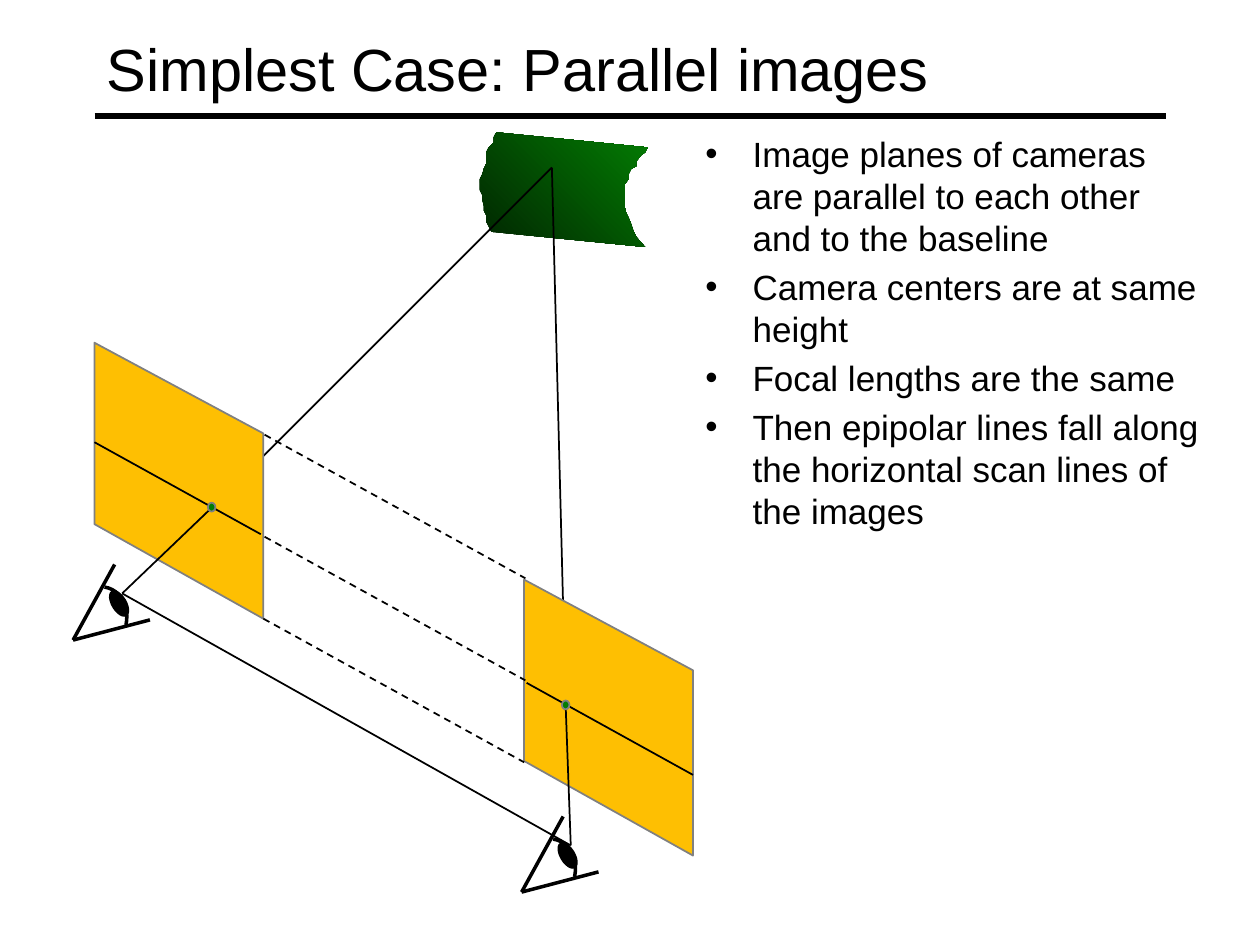
from lxml import etree
from pptx import Presentation, util as u
from pptx.dml import color
from pptx.enum import dml, shapes, text
from pptx.oxml import ns

COLORS = {"ink": "000000", "plane": "FEBF02", "edge": "808080",
          "dark": "012501", "green": "037C03"}
COLUMNS, ROWS = 100, 75
PLANE_STEP = (34.1, 18.8)
EYE_STEP = (35.6, 20)

BAND_LEFT = [(39.4, 10.5), (39.2, 10.9), (39.2, 11.3), (38.8, 11.7), (38.6, 12.1),
             (38.6, 13), (38.4, 13.4), (38.3, 13.8), (38.1, 14.2), (38.1, 15.1),
             (38.3, 15.5), (38.3, 15.9), (38.4, 16.3), (38.4, 16.7), (38.6, 17.1),
             (38.6, 17.6), (38.8, 18), (39, 18.4)]
BAND_RIGHT = [(51.2, 19.6), (50.5, 18.8), (50.3, 18.4), (50.1, 17.8), (49.9, 17.3),
              (49.7, 16.9), (49.6, 16.5), (49.6, 14.6), (49.9, 14.2), (49.9, 13.8),
              (50.1, 13.4), (50.5, 13.2), (50.5, 12.8), (50.9, 12.3), (51.2, 12.1),
              (51.4, 11.7)]
PLANE = [(7.5, 41.6), (20.9, 49.1), (20.9, 34.4), (7.5, 27.2)]
CORNEA = [(8.3, 46.6), (9.6, 46.8), (10.3, 48.2), (10, 49.6)]
BULLETS = [
    "Image planes of cameras are parallel to each other and to the baseline",
    "Camera centers are at same height",
    "Focal lengths are the same",
    "Then epipolar lines fall along the horizontal scan lines of the images",
]


def shift(points, step):
    return [(x + step[0], y + step[1]) for x, y in points]


def bezier(controls, steps=12):
    points = []
    for i in range(steps + 1):
        t = i / steps
        weights = [(1 - t) ** 3, 3 * t * (1 - t) ** 2, 3 * t * t * (1 - t), t ** 3]
        points.append(tuple(sum(w * c[axis] for w, c in zip(weights, controls))
                            for axis in (0, 1)))
    return points


class Sketch:
    """Draws styled elements on one slide, measured in grid columns and rows."""

    def __init__(self, presentation):
        self.font = "Arial"
        self.column = presentation.slide_width / COLUMNS
        self.row = presentation.slide_height / ROWS
        self.slide = presentation.slides.add_slide(presentation.slide_layouts[6])

    def place(self, x, y):
        return round(x * self.column), round(y * self.row)

    def rgb(self, name):
        return color.RGBColor.from_string(COLORS[name])

    def finish(self, shape, fill, edge, width=1):
        shape.shadow.inherit = False
        if fill:
            shape.fill.solid()
            shape.fill.fore_color.rgb = self.rgb(fill)
        else:
            shape.fill.background()
        if edge:
            shape.line.color.rgb = self.rgb(edge)
            shape.line.width = u.Pt(width)
        else:
            shape.line.fill.background()
        return shape

    def line(self, start, end, width=1, dashed=False):
        connector = self.slide.shapes.add_connector(
            shapes.MSO_CONNECTOR.STRAIGHT, *self.place(*start), *self.place(*end))
        connector.line.color.rgb = self.rgb("ink")
        connector.line.width = u.Pt(width)
        if dashed:
            connector.line.dash_style = dml.MSO_LINE.DASH
        etree.SubElement(connector._element.spPr, ns.qn("a:effectLst"))

    def outline(self, points, fill=None, edge=None, width=1, close=True):
        corners = [self.place(*point) for point in points]
        builder = self.slide.shapes.build_freeform(*corners[0])
        builder.add_line_segments(corners[1:], close=close)
        return self.finish(builder.convert_to_shape(), fill, edge, width)

    def gradient(self, points, colors, angle):
        fill = self.outline(points).fill
        fill.gradient()
        fill.gradient_angle = angle
        for stop, name in zip(fill.gradient_stops, colors):
            stop.color.rgb = self.rgb(name)

    def ellipse(self, left_top, size, fill, edge, rotation=0):
        shape = self.slide.shapes.add_shape(
            shapes.MSO_SHAPE.OVAL, *self.place(*left_top), *self.place(*size))
        self.finish(shape, fill, edge).rotation = rotation

    def eye(self, step):
        back, upper, lower, pupil = shift(
            [(5.8, 50.8), (9.1, 44.8), (11.9, 49.2), (8.9, 46.8)], step)
        self.outline(shift(bezier(CORNEA), step), edge="ink", width=2, close=False)
        self.line(upper, back, 2)
        self.ellipse(pupil, (1.1, 2.2), "ink", "ink", 329)
        self.line(back, lower, 2)

    def text(self, left_top, size, lines, points, anchor, bulleted=False):
        box = self.slide.shapes.add_textbox(*self.place(*left_top), *self.place(*size))
        frame = box.text_frame
        frame.word_wrap = True
        frame.vertical_anchor = anchor
        for i, line in enumerate(lines):
            paragraph = frame.add_paragraph() if i else frame.paragraphs[0]
            if bulleted:
                self.bullet(paragraph)
            if i:
                paragraph.space_before = u.Pt(points * 0.2)
            run = paragraph.add_run()
            run.text = line
            run.font.name = self.font
            run.font.size = u.Pt(points)
            run.font.color.rgb = self.rgb("ink")

    def bullet(self, paragraph):
        indent = round(3.75 * self.column)
        properties = paragraph._p.get_or_add_pPr()
        properties.set("marL", str(indent))
        properties.set("indent", str(-indent))
        etree.SubElement(properties, ns.qn("a:buFont"), typeface=self.font)
        etree.SubElement(properties, ns.qn("a:buChar"), char="•")


def main():
    presentation = Presentation()
    presentation.slide_width, presentation.slide_height = u.Inches(10), u.Inches(7.5)
    sketch = Sketch(presentation)

    sketch.line((7.5, 9.2), (92.5, 9.2), 3)
    sketch.text((7.5, 0.8), (85, 9.2), ["Simplest Case: Parallel images"], 34,
                text.MSO_ANCHOR.MIDDLE)
    sketch.text((55, 10), (41.7, 57.5), BULLETS, 20, text.MSO_ANCHOR.TOP, bulleted=True)

    scene_point = (43.8, 13.3)
    centers = [(9.7, 47.1), (45.3, 67.1)]
    image_points = [(16.8, 40.3), (44.9, 56.1)]
    planes = [PLANE, shift(PLANE, PLANE_STEP)]

    sketch.gradient(BAND_LEFT + BAND_RIGHT, ("dark", "green"), 45)
    sketch.line(*centers)
    for image_point, plane in zip(image_points, planes):
        sketch.line(image_point, scene_point)
        sketch.outline(plane, "plane", "edge")
    for center, image_point in zip(centers, image_points):
        sketch.line(center, image_point)
    for step in ((0, 0), EYE_STEP):
        sketch.eye(step)
    for start in ((21, 34.5), (20.9, 49.1), (21, 42.6)):
        sketch.line(start, (start[0] + 20.7, start[1] + 11.4), dashed=True)
    for start in ((7.5, 35.1), (41.8, 54.2)):
        sketch.line(start, (start[0] + 13.2, start[1] + 7.3))
    for corner in ((44.6, 55.6), (16.5, 39.9)):
        sketch.ellipse(corner, (0.6, 0.7), "green", "edge")

    presentation.save("out.pptx")


if __name__ == "__main__":
    main()
